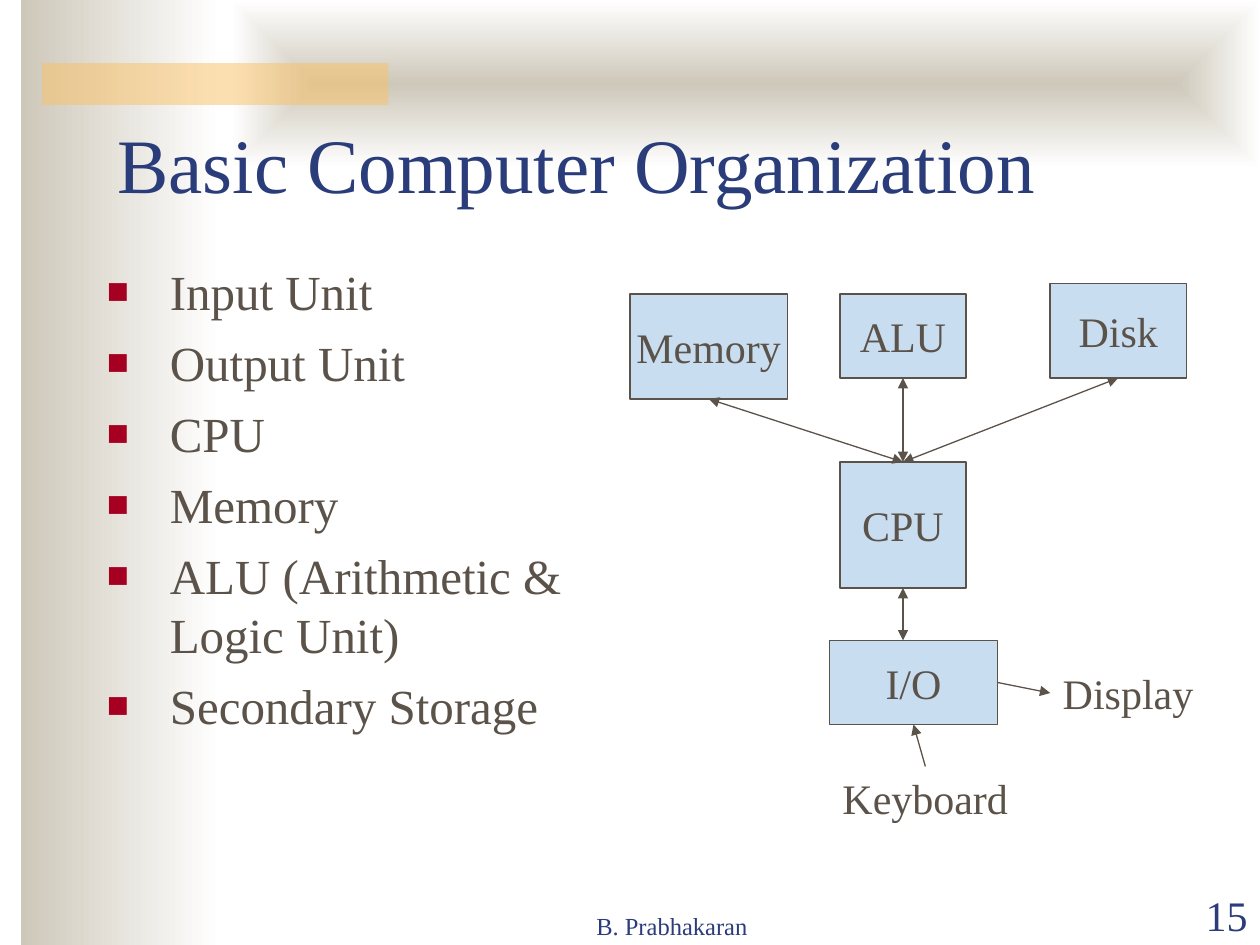
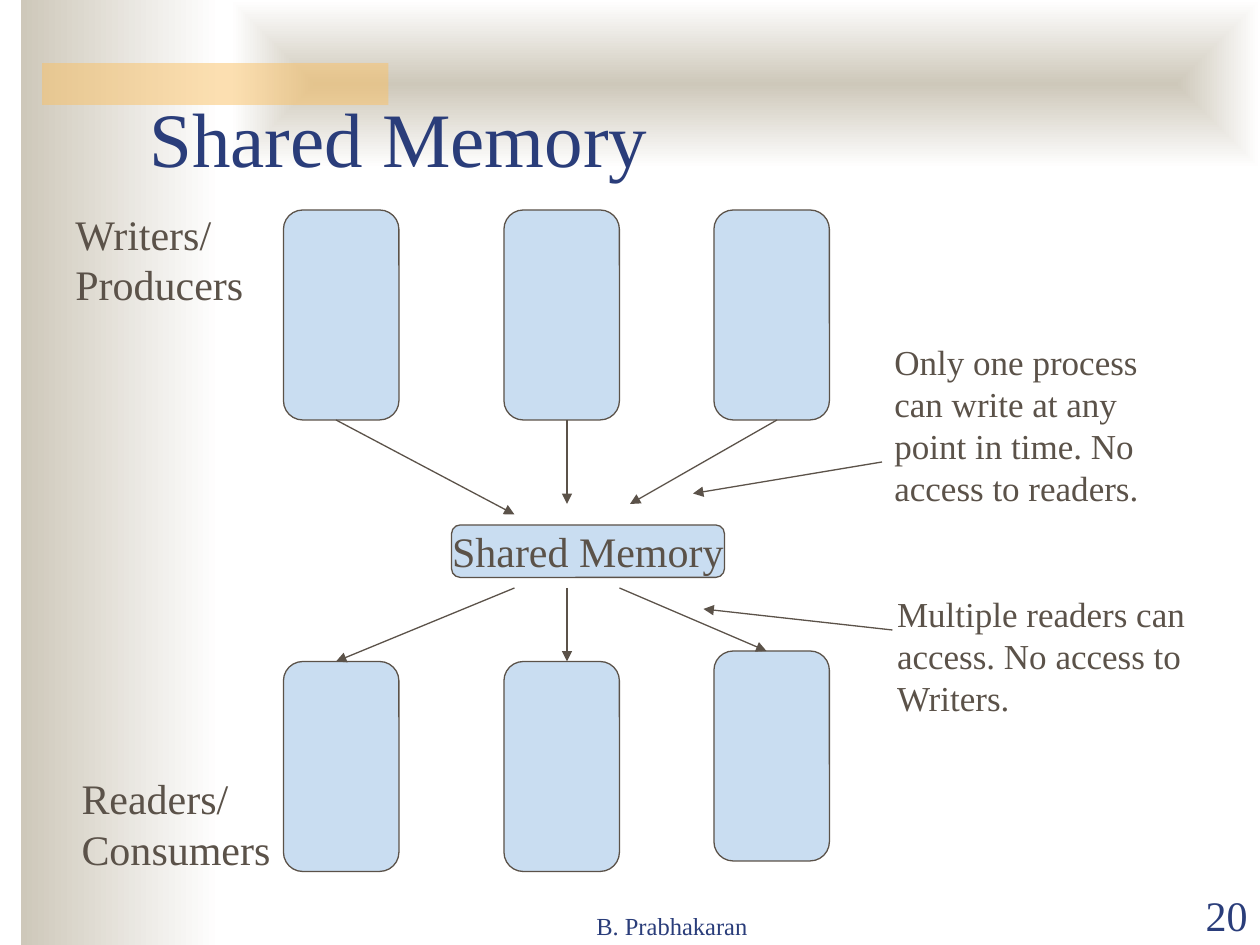
"""Build two lecture slides on computer organization and shared memory."""
from lxml.etree import SubElement
from pptx import Presentation
from pptx.dml.color import RGBColor
from pptx.enum.shapes import MSO_CONNECTOR as Line, MSO_SHAPE as Shape
from pptx.enum.text import MSO_ANCHOR as Anchor, MSO_AUTO_SIZE as Fit, PP_ALIGN as Align
from pptx.oxml.ns import qn
from pptx.util import Pt

FONT = "Times New Roman"
NAVY, BROWN, RED = "2A3D7A", "5B5249", "A50021"
SKY, SAND, WHITE, AMBER = "C9DDF1", "CEC8BA", "FFFFFF", "FAC164"
TOP, LEFT, BOTTOM, RIGHT = range(4)


def color(code):
    """Turn a hex string into a colour."""
    return RGBColor.from_string(code)


def child(parent, tag, **attributes):
    """Append a drawing element with the given attributes."""
    return SubElement(parent, qn(tag), attributes)


def add_bullet(para):
    """Give a paragraph a hanging square bullet."""
    props = para._p.get_or_add_pPr()
    props.set("marL", str(Pt(36)))
    props.set("indent", str(Pt(-36)))
    child(child(props, "a:buClr"), "a:srgbClr", val=RED)
    child(props, "a:buSzPct", val="75000")
    child(props, "a:buFont", typeface=FONT)
    child(props, "a:buChar", char="■")


def write(shape, text, size=24, ink=BROWN, align=Align.LEFT, anchor=Anchor.TOP,
          wrap=True, bullet=False, gap=0):
    """Write each line of the text as a formatted paragraph."""
    frame = shape.text_frame
    frame.word_wrap = wrap
    frame.vertical_anchor = anchor
    for index, line in enumerate(text.split("\n")):
        para = frame.add_paragraph() if index else frame.paragraphs[0]
        para.alignment = align
        if index and gap:
            para.space_before = Pt(gap)
        if bullet:
            add_bullet(para)
        span = para.add_run()
        span.text = line
        span.font.name, span.font.size = FONT, Pt(size)
        span.font.color.rgb = color(ink)


def add_text(page, box, text, **style):
    """Add a text box."""
    shape = page.shapes.add_textbox(*map(Pt, box))
    write(shape, text, **style)
    return shape


def add_label(page, box, text, size=24):
    """Add a text box that grows with its unwrapped lines."""
    shape = add_text(page, box, text, size=size, wrap=False)
    shape.text_frame.auto_size = Fit.SHAPE_TO_FIT_TEXT
    return shape


def add_block(page, box, text="", kind=Shape.RECTANGLE):
    """Add an outlined blue block with an optional centred label."""
    shape = page.shapes.add_shape(kind, *map(Pt, box))
    shape.shadow.inherit = False
    shape.fill.solid()
    shape.fill.fore_color.rgb = color(SKY)
    shape.line.color.rgb = color(BROWN)
    shape.line.width = Pt(0.75)
    if text:
        write(shape, text, align=Align.CENTER, anchor=Anchor.MIDDLE, wrap=False)
    return shape


def add_arrow(page, start=(0, 0), end=(0, 0), both=False):
    """Add a straight arrow, pointed at one end or at both."""
    arrow = page.shapes.add_connector(Line.STRAIGHT, *map(Pt, (*start, *end)))
    arrow.line.color.rgb = color(BROWN)
    arrow.line.width = Pt(0.75)
    outline = arrow.line._get_or_add_ln()
    if both:
        child(outline, "a:headEnd", type="triangle")
    child(outline, "a:tailEnd", type="triangle")
    child(arrow._element.spPr, "a:effectLst")
    return arrow


def add_band(page, box):
    """Add a borderless rectangle and return its fill."""
    band = page.shapes.add_shape(Shape.RECTANGLE, *map(Pt, box))
    band.shadow.inherit = False
    band.line.fill.background()
    return band.fill


def add_fade(page, box, from_center=False):
    """Add a band that fades from sand to white."""
    fill = add_band(page, box)
    fill.gradient()
    fill.gradient_angle = 0
    for stop, code in zip(fill.gradient_stops, (SAND, WHITE)):
        stop.color.rgb = color(code)
    if from_center:
        grad = fill._xPr.find(qn("a:gradFill"))
        grad.remove(grad.find(qn("a:lin")))
        center = dict.fromkeys("ltrb", "50000")
        child(child(grad, "a:path", path="rect"), "a:fillToRect", **center)


def add_page(deck, title, title_box, number, anchor):
    """Add a slide with its bands, title and footer."""
    page = deck.slides.add_slide(deck.slide_layouts[6])
    add_fade(page, (12, 0, 114, 540))
    add_fade(page, (132, 0, 588, 96), from_center=True)
    fill = add_band(page, (24, 36, 198, 24))
    fill.solid()
    fill.fore_color.rgb = color(AMBER)
    child(fill._xPr.find(".//" + qn("a:srgbClr")), "a:alpha", val="50000")
    add_text(page, (270, 504.75, 228, 36), "B. Prabhakaran", size=14, ink=NAVY,
             align=Align.CENTER, anchor=Anchor.BOTTOM)
    add_text(page, (648, 504.75, 72, 36), number, ink=NAVY,
             align=Align.RIGHT, anchor=Anchor.BOTTOM)
    add_text(page, title_box, title, size=44, ink=NAVY, anchor=anchor)
    return page


def draw_computer(page, left, top):
    """Draw the units of a computer and the links between them."""
    blocks = {
        "CPU": (120, 102, 72, 72),
        "ALU": (120, 6, 72, 48),
        "Memory": (0, 6, 90, 60),
        "Disk": (240, 0, 78, 54),
        "I/O": (114, 204, 96, 48),
    }
    labels = {"Keyboard": (114.3, 276, 109, 36), "Display": (240.2, 216, 89, 36)}
    units = {name: add_block(page, (left + x, top + y, w, h), name)
             for name, (x, y, w, h) in blocks.items()}
    for name, (x, y, w, h) in labels.items():
        units[name] = add_label(page, (left + x, top + y, w, h), name)
    links = [("Memory", BOTTOM, "CPU", TOP), ("ALU", BOTTOM, "CPU", TOP),
             ("Disk", BOTTOM, "CPU", TOP), ("Keyboard", TOP, "I/O", BOTTOM),
             ("I/O", RIGHT, "Display", LEFT)]
    for source, source_side, target, target_side in links:
        arrow = add_arrow(page, both=target == "CPU")
        arrow.begin_connect(units[source], source_side)
        arrow.end_connect(units[target], target_side)
    add_arrow(page, (left + 156, top + 174), (left + 156, top + 204), both=True)


def draw_sharing(page, left, top):
    """Draw writers above and readers below the shared memory."""
    for column in range(3):
        x = left + (0, 126, 246)[column]
        reader_top = top + (252 if column == 2 else 258)
        for y in (top, reader_top):
            add_block(page, (x, y, 66, 120), kind=Shape.ROUNDED_RECTANGLE)
    add_block(page, (left + 96, top + 180, 156, 30), "Shared Memory",
              Shape.ROUNDED_RECTANGLE)
    arrows = [
        (30, 120, 132, 174), (162, 120, 162, 168), (282, 120, 198, 168),
        (132, 216, 30, 258), (162, 216, 162, 258), (192, 216, 276, 252),
        (342, 144, 234, 162), (348, 240, 240, 228),
    ]
    for x1, y1, x2, y2 in arrows:
        add_arrow(page, (left + x1, top + y1), (left + x2, top + y2))
    notes = [
        ("Only one process\ncan write at any\npoint in time. No\naccess to readers.",
         (342, 71, 158, 103.5), 20),
        ("Multiple readers can\naccess. No access to\nWriters.",
         (343.5, 215, 179, 79.5), 20),
        ("Writers/\nProducers", (-126, -4.6, 111, 65), 24),
        ("Readers/\nConsumers", (-122.5, 318, 123, 65), 24),
    ]
    for text, (x, y, w, h), size in notes:
        add_label(page, (left + x, top + y, w, h), text, size)


def main():
    """Build and save the deck."""
    deck = Presentation()
    deck.slide_width, deck.slide_height = Pt(720), Pt(540)

    page = add_page(deck, "Basic Computer Organization", (60, 48, 612, 90), "15",
                    Anchor.MIDDLE)
    units = ("Input Unit\nOutput Unit\nCPU\nMemory\n"
             "ALU (Arithmetic & Logic Unit)\nSecondary Storage")
    add_text(page, (54, 145.8, 300, 324), units, size=28, bullet=True, gap=7)
    draw_computer(page, 360, 162)

    page = add_page(deck, "Shared Memory", (78.3, 18, 612, 90), "20", Anchor.BOTTOM)
    draw_sharing(page, 162, 120)
    deck.save("out.pptx")


if __name__ == "__main__":
    main()
